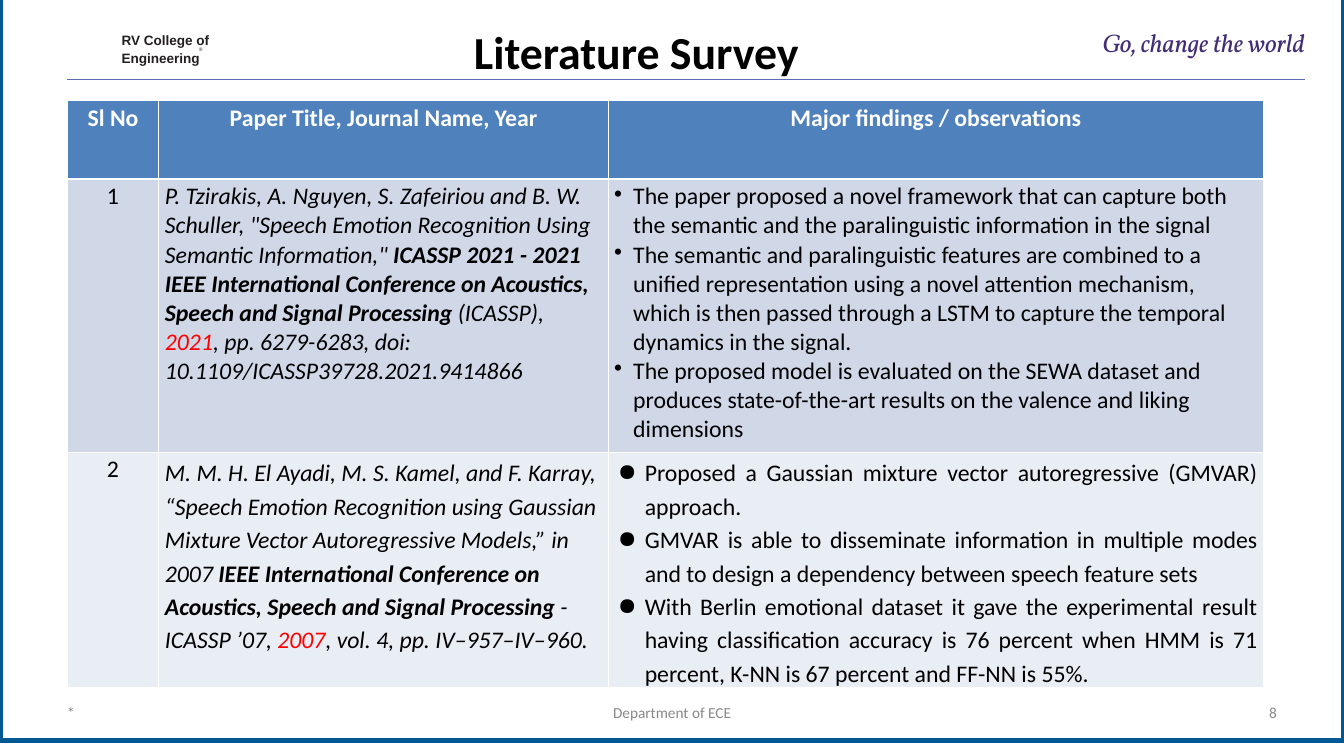
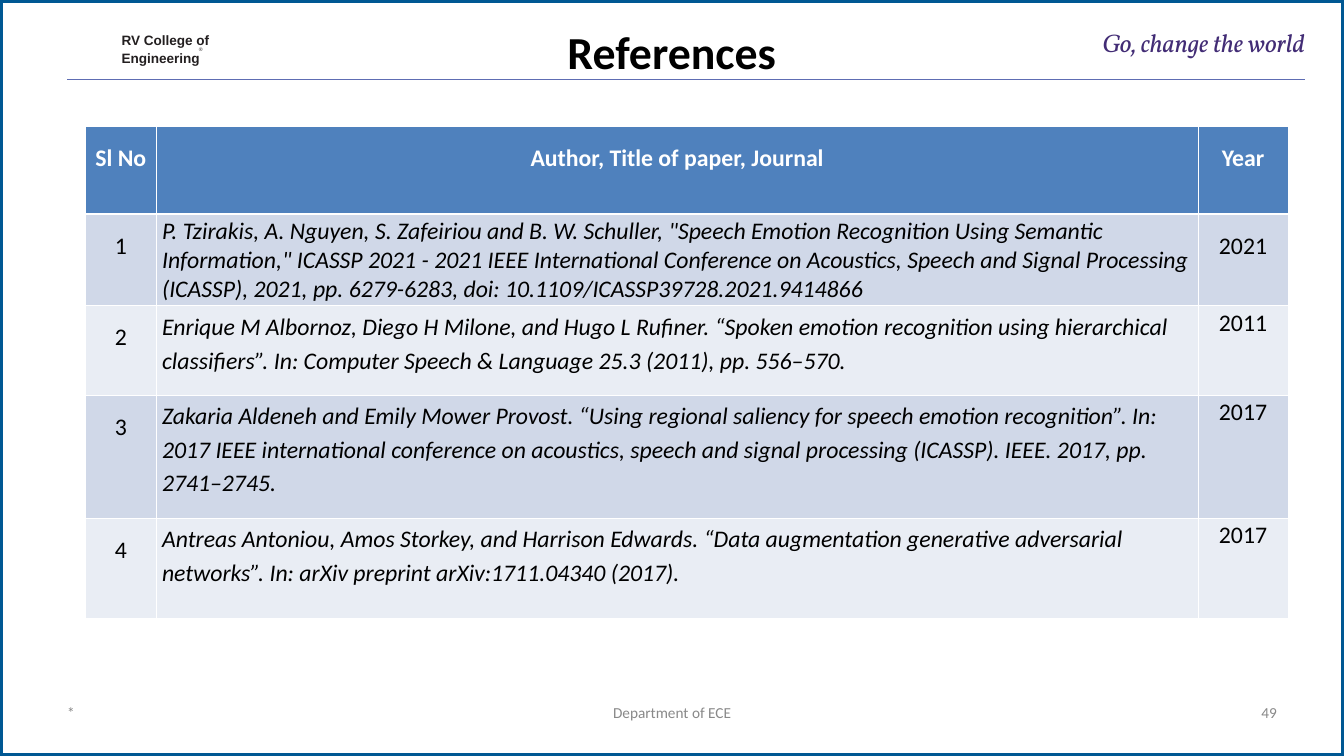
from dataclasses import dataclass
from typing import Any

from lxml import etree
from pptx import Presentation
from pptx.dml.color import RGBColor
from pptx.enum.shapes import MSO_CONNECTOR, MSO_SHAPE
from pptx.enum.text import PP_ALIGN
from pptx.oxml.ns import qn
from pptx.util import Cm, Pt

LEFT, CENTER, RIGHT = PP_ALIGN.LEFT, PP_ALIGN.CENTER, PP_ALIGN.RIGHT
JUSTIFY = PP_ALIGN.JUSTIFY
RECT, STRAIGHT = MSO_SHAPE.RECTANGLE, MSO_CONNECTOR.STRAIGHT

COLORS = {
    "white": "FFFFFF", "black": "000000", "frame": "005893", "rule": "5E6DB3",
    "college": "231F20", "motto": "422C75", "footer": "898989", "red": "FF0000",
    "header": "4F81BD", "band": "D0D8E8", "light": "E9EDF4",
}
SLIDE_W, SLIDE_H = 55.85, 31.42
LINE_SPACING = 1.15

COLLEGE = {"size": Pt(16), "name": "Arial", "bold": True, "color": "college"}
TITLE = {"size": Pt(54), "name": "Calibri", "bold": True, "color": "black"}
MOTTO = {"size": Pt(30), "name": "Vollkorn", "italic": True, "color": "motto"}
FOOTER = {"size": Pt(18), "name": "Calibri", "color": "footer"}
BODY = {"size": Pt(28), "name": "Calibri", "bold": False, "color": "black"}
HEAD = BODY | {"bold": True, "color": "white"}
CITE = BODY | {"italic": True}
VENUE = CITE | {"bold": True}
CITED_YEAR = CITE | {"color": "red"}


@dataclass(frozen=True)
class Run:
    text: str
    fmt: dict[str, Any]


@dataclass(frozen=True)
class Bullet:
    char: str
    margin: float
    indent: float


@dataclass(frozen=True)
class Para:
    runs: tuple[Run, ...]
    align: Any = LEFT
    spacing: float = 1.0
    before: float = 0
    bullet: Bullet | None = None


@dataclass(frozen=True)
class TextBox:
    left: float
    top: float
    width: float
    height: float
    paras: tuple[Para, ...]


@dataclass(frozen=True)
class Grid:
    left: float
    top: float
    cols: tuple[float, ...]
    heights: tuple[float, ...]
    rows: list[list[tuple[Para, ...]]]


@dataclass(frozen=True)
class Page:
    title: str
    title_left: float
    frame_top: float
    number: int
    grid: Grid


SMALL_DOT = Bullet("•", 0.79, -0.79)
LARGE_DOT = Bullet("●", 1.27, -1.12)


def rgb(key: str) -> RGBColor:
    return RGBColor.from_string(COLORS[key])


def line(text: str, fmt: dict[str, Any], align: Any = LEFT, **layout: Any) -> Para:
    """Make a paragraph of a single run."""
    return Para((Run(text, fmt),), align, **layout)


def header(*labels: str, spacing: float = 1.0) -> list[tuple[Para, ...]]:
    return [(line(label, HEAD, CENTER, spacing=spacing),) for label in labels]


def reference(number: int, text: str, year: int, spacing: float = LINE_SPACING,
              year_spacing: float = 1.0) -> list[tuple[Para, ...]]:
    return [(line(str(number), BODY, CENTER, spacing=1.5),),
            (line(text, CITE, spacing=spacing),),
            (line(str(year), BODY, CENTER, spacing=year_spacing),)]


def add_bullet(p: Any, bullet: Bullet) -> None:
    pPr = p._p.get_or_add_pPr()
    pPr.set("marL", str(Cm(bullet.margin)))
    pPr.set("indent", str(Cm(bullet.indent)))
    etree.SubElement(pPr, qn("a:buChar"), char=bullet.char)


def write(tf: Any, paras: tuple[Para, ...]) -> None:
    tf.word_wrap = True
    for i, para in enumerate(paras):
        p = tf.add_paragraph() if i else tf.paragraphs[0]
        p.alignment = para.align
        p.line_spacing = para.spacing
        p.space_before = Pt(para.before)
        if para.bullet:
            add_bullet(p, para.bullet)
        for run in para.runs:
            r = p.add_run()
            r.text = run.text
            for name, value in run.fmt.items():
                if name == "color":
                    r.font.color.rgb = rgb(value)
                else:
                    setattr(r.font, name, value)


def add_text(slide: Any, box: TextBox) -> None:
    sp = slide.shapes.add_textbox(Cm(box.left), Cm(box.top), Cm(box.width), Cm(box.height))
    tf = sp.text_frame
    for side in ("left", "top", "right", "bottom"):
        setattr(tf, f"margin_{side}", 0)
    write(tf, box.paras)


def add_borders(cell: Any, widths: dict[str, float]) -> None:
    tcPr = cell._tc.get_or_add_tcPr()
    for side, width in widths.items():
        ln = etree.SubElement(tcPr, qn(f"a:ln{side}"), w=str(Pt(width)))
        fill = etree.SubElement(ln, qn("a:solidFill"))
        etree.SubElement(fill, qn("a:srgbClr"), val=COLORS["white"])


def add_grid(slide: Any, grid: Grid) -> None:
    frame = slide.shapes.add_table(
        len(grid.rows), len(grid.cols), Cm(grid.left), Cm(grid.top),
        Cm(sum(grid.cols)), Cm(sum(grid.heights)))
    table = frame.table
    table.horz_banding = False
    for column, width in zip(table.columns, grid.cols):
        column.width = Cm(width)
    for i, (height, row) in enumerate(zip(grid.heights, grid.rows)):
        table.rows[i].height = Cm(height)
        fill = "header" if i == 0 else "band" if i % 2 else "light"
        widths = {"L": 1, "R": 1, "T": 3 if i == 1 else 1, "B": 3 if i == 0 else 1}
        for j, paras in enumerate(row):
            cell = table.cell(i, j)
            add_borders(cell, widths)
            cell.fill.solid()
            cell.fill.fore_color.rgb = rgb(fill)
            write(cell.text_frame, paras)


def add_frame(slide: Any, top: float) -> None:
    """Draw the page border and the rule under the title."""
    sp = slide.shapes.add_shape(RECT, 0, Cm(top), Cm(SLIDE_W), Cm(SLIDE_H))
    sp.shadow.inherit = False
    sp.fill.solid()
    sp.fill.fore_color.rgb = rgb("white")
    sp.line.color.rgb = rgb("frame")
    sp.line.width = Pt(6)
    rule = slide.shapes.add_connector(STRAIGHT, Cm(2.79), Cm(3.3), Cm(54.25), Cm(3.3))
    rule.line.color.rgb = rgb("rule")
    rule.line.width = Pt(1.25)
    etree.SubElement(rule._element.spPr, qn("a:effectLst"))


def add_page(prs: Any, page: Page) -> None:
    slide = prs.slides.add_slide(prs.slide_layouts[6])
    add_frame(slide, page.frame_top)
    footer_top, footer_h = 29.21, 1.57
    boxes = (
        TextBox(5.05, 1.27, 3.81, 1.37, (
            line("RV College of", COLLEGE, spacing=1.06),
            line("Engineering", COLLEGE, spacing=1.06, before=1))),
        TextBox(8.27, 1.92, 0.4, 0.3, (line("®", COLLEGE | {"size": Pt(6), "bold": False}),)),
        TextBox(page.title_left, 0.99, 28.45, 2.34, (line(page.title, TITLE, CENTER),)),
        TextBox(44.02, 1.14, 10.21, 1.3, (line("Go, change the world", MOTTO, RIGHT),)),
        TextBox(2.79, footer_top, 12.85, footer_h, (line("*", FOOTER),)),
        TextBox(19, footer_top, 17.86, footer_h, (line("Department of ECE", FOOTER, CENTER),)),
        TextBox(40.21, footer_top, 12.85, footer_h, (line(str(page.number), FOOTER, RIGHT),)),
    )
    for box in boxes:
        add_text(slide, box)
    add_grid(slide, page.grid)


SURVEY_ROWS = [
    header("Sl No", "Paper Title, Journal Name, Year", "Major findings / observations"),
    [
        (line("1", BODY, CENTER),),
        (Para((
            Run('P. Tzirakis, A. Nguyen, S. Zafeiriou and B. W. Schuller, "Speech Emotion '
                'Recognition Using Semantic Information,"', CITE),
            Run(" ICASSP 2021 - 2021 IEEE International Conference on Acoustics, Speech and "
                "Signal Processing", VENUE),
            Run(" (ICASSP), ", CITE),
            Run("2021", CITED_YEAR),
            Run(", pp. 6279-6283, doi: 10.1109/ICASSP39728.2021.9414866", CITE))),),
        tuple(line(text, BODY, bullet=SMALL_DOT) for text in (
            "The paper proposed a novel framework that can capture both the semantic and the "
            "paralinguistic information in the signal",
            "The semantic and paralinguistic features are combined to a unified representation "
            "using a novel attention mechanism, which is then passed through a LSTM to capture "
            "the temporal dynamics in the signal.",
            "The proposed model is evaluated on the SEWA dataset and produces state-of-the-art "
            "results on the valence and liking dimensions")),
    ],
    [
        (line("2", BODY, CENTER),),
        (Para((
            Run("M. M. H. El Ayadi, M. S. Kamel, and F. Karray, “Speech Emotion Recognition "
                "using Gaussian Mixture Vector Autoregressive Models,” in 2007 ", CITE),
            Run("IEEE International Conference on Acoustics, Speech and Signal Processing", VENUE),
            Run(" - ICASSP ’07, ", CITE),
            Run("2007", CITED_YEAR),
            Run(", vol. 4, pp. IV–957–IV–960.", CITE)), spacing=LINE_SPACING),),
        tuple(line(text, BODY, JUSTIFY, spacing=LINE_SPACING, bullet=LARGE_DOT) for text in (
            "Proposed a Gaussian mixture vector autoregressive (GMVAR) approach.",
            "GMVAR is able to disseminate information in multiple modes and to design a "
            "dependency between speech feature sets",
            "With Berlin emotional dataset it gave the experimental result having "
            "classification accuracy is 76 percent when HMM is 71 percent, K-NN is 67 percent "
            "and FF-NN is 55%.")),
    ],
]

REFERENCE_ROWS = [
    header("Sl No", "Author, Title of paper, Journal", "Year", spacing=1.5),
    reference(1, 'P. Tzirakis, A. Nguyen, S. Zafeiriou and B. W. Schuller, "Speech Emotion '
              'Recognition Using Semantic Information," ICASSP 2021 - 2021 IEEE International '
              "Conference on Acoustics, Speech and Signal Processing (ICASSP), 2021, "
              "pp. 6279-6283, doi: 10.1109/ICASSP39728.2021.9414866", 2021,
              spacing=1.0, year_spacing=1.5),
    reference(2, "Enrique M Albornoz, Diego H Milone, and Hugo L Rufiner. “Spoken emotion "
              "recognition using hierarchical classifiers”. In: Computer Speech & Language "
              "25.3 (2011), pp. 556–570.", 2011),
    reference(3, "Zakaria Aldeneh and Emily Mower Provost. “Using regional saliency for speech "
              "emotion recognition”. In: 2017 IEEE international conference on acoustics, "
              "speech and signal processing (ICASSP). IEEE. 2017, pp. 2741–2745.", 2017),
    reference(4, "Antreas Antoniou, Amos Storkey, and Harrison Edwards. “Data augmentation "
              "generative adversarial networks”. In: arXiv preprint arXiv:1711.04340 (2017).",
              2017),
]

PAGES = (
    Page("Literature Survey", 12.22, -0.63, 8,
         Grid(2.79, 4.17, (3.81, 18.67, 27.23), (3.28, 11.33, 8.99), SURVEY_ROWS)),
    Page("References", 13.69, 0, 49,
         Grid(3.56, 5.26, (2.92, 43.31, 3.73), (3.63, 3.58, 3.71, 5.11, 4.17),
              REFERENCE_ROWS)),
)


def main() -> None:
    prs = Presentation()
    prs.slide_width, prs.slide_height = Cm(SLIDE_W), Cm(SLIDE_H)
    for page in PAGES:
        add_page(prs, page)
    prs.save("out.pptx")


if __name__ == "__main__":
    main()
